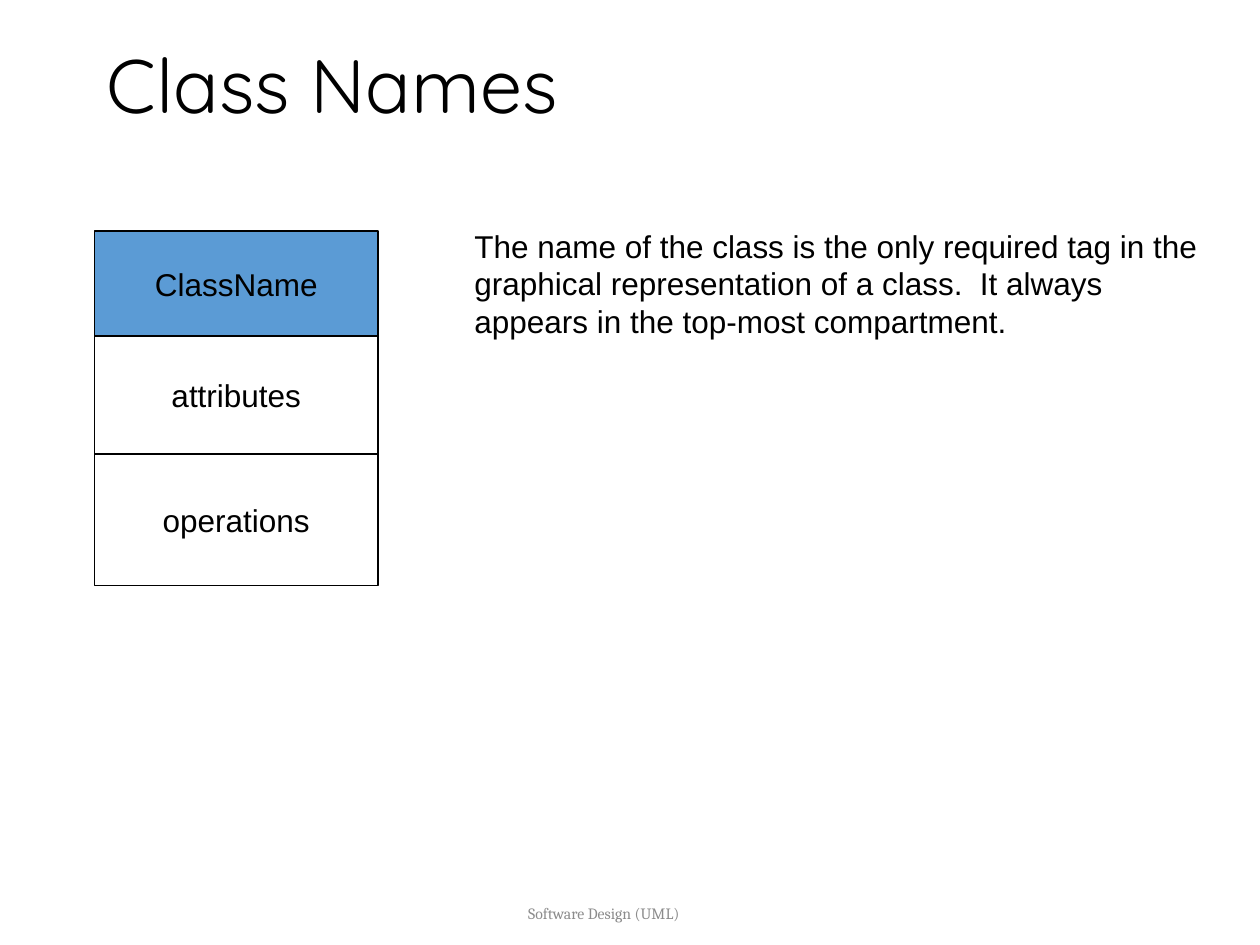
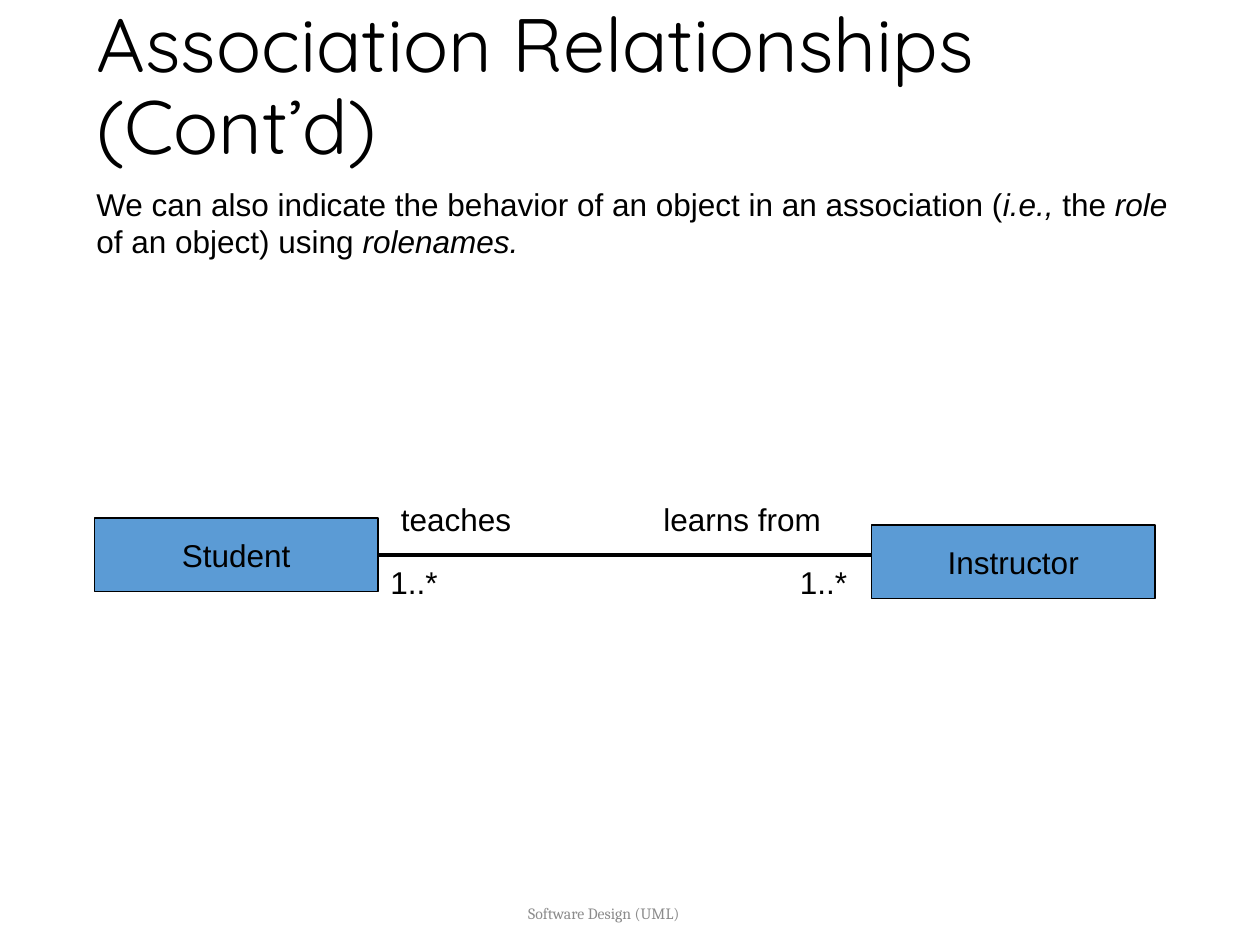
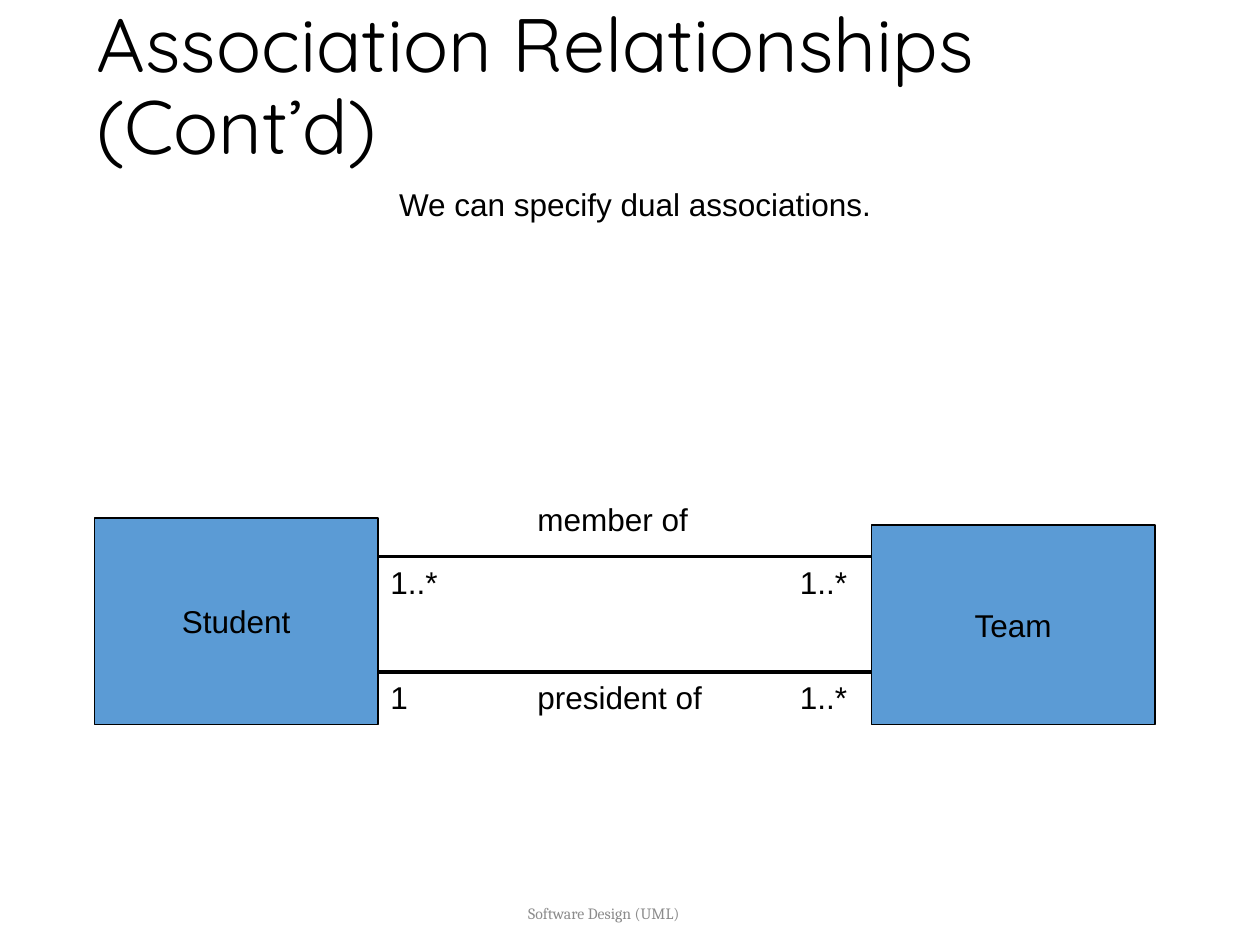
from lxml.etree import SubElement
from pptx import Presentation
from pptx.dml.color import RGBColor
from pptx.enum.shapes import MSO_CONNECTOR as Connector, MSO_SHAPE as Shape
from pptx.enum.text import MSO_ANCHOR as Anchor, MSO_AUTO_SIZE as AutoSize, PP_ALIGN as Align
from pptx.oxml.ns import qn
from pptx.util import Pt

BLACK = RGBColor(0x00, 0x00, 0x00)
WHITE = RGBColor(0xFF, 0xFF, 0xFF)
GRAY = RGBColor(0x8C, 0x8C, 0x8C)
BLUE = RGBColor(0x5B, 0x9B, 0xD5)

FOOTER = "Software Design (UML)"
CLASS_LEFT, CLASS_WIDTH = 54, 162
LINK_LEFT, LINK_RIGHT = CLASS_LEFT + CLASS_WIDTH, 498
LABEL_HEIGHT = 36

# Runs are (text, italic); places are left, top, width, height in points.
CLASS_NAMES = {
    "title": ("Class Names", 54, 618),
    "intro": ([("The name of the class is the only required tag in the graphical "
                "representation of a class.  It always appears in the top-most "
                "compartment.", False)], (264, 126, 432, 122), Align.LEFT),
    "compartments_top": 132,
    "compartments": [("ClassName", 60, BLUE), ("attributes", 67.5, WHITE),
                     ("operations", 75, WHITE)],
}

ASSOCIATIONS = [
    {
        "title": ("Association Relationships (Cont’d)", 48, 648),
        "intro": ([("We can also indicate the behavior of an object in an association (", False),
                   ("i.e.,", True), (" the ", False), ("role ", True),
                   ("of an object) using ", False), ("rolenames.", True)],
                  (48, 102, 639, 65), Align.LEFT),
        # name, top, height
        "classes": [("Student", 296, 42), ("Instructor", 300, 42)],
        "links": [317],
        # text, left, top, width
        "labels": [("1..*", 450, 318, 54), ("1..*", 216, 318, 54),
                   ("learns from", 372, 282, 126), ("teaches", 222, 282, 90)],
    },
    {
        "title": ("Association Relationships (Cont’d)", 48, 636),
        "intro": ([("We can specify dual associations.", False)],
                  (54, 102, 618, 36), Align.CENTER),
        "classes": [("Student", 296, 118), ("Team", 300, 114)],
        "links": [318, 384],
        "labels": [("member of", 300, 282, 138), ("1..*", 216, 318, 54),
                   ("1..*", 450, 318, 54), ("president of", 300, 384, 138),
                   ("1", 216, 384, 30), ("1..*", 450, 384, 54)],
    },
]


def style(paragraph, size=18, face="Arial", color=BLACK, align=Align.LEFT):
    paragraph.alignment = align
    font = paragraph.font
    font.size, font.name, font.color.rgb = Pt(size), face, color


def add_text(slide, runs, place, anchor=Anchor.TOP, grow=False, **look):
    frame = slide.shapes.add_textbox(*map(Pt, place)).text_frame
    frame.word_wrap = True
    frame.vertical_anchor = anchor
    frame.auto_size = AutoSize.SHAPE_TO_FIT_TEXT if grow else AutoSize.NONE
    paragraph = frame.paragraphs[0]
    for text, italic in runs:
        run = paragraph.add_run()
        run.text = text
        if italic:
            run.font.italic = True
    style(paragraph, **look)
    return paragraph


def add_class_box(shapes, name, left, top, height, fill=BLUE):
    box = shapes.add_shape(Shape.RECTANGLE, Pt(left), Pt(top), Pt(CLASS_WIDTH), Pt(height))
    box.shadow.inherit = False
    box.fill.solid()
    box.fill.fore_color.rgb = fill
    box.line.color.rgb = BLACK
    box.line.width = Pt(0.75)
    frame = box.text_frame
    frame.word_wrap = False
    frame.vertical_anchor = Anchor.MIDDLE
    frame.text = name
    style(frame.paragraphs[0], align=Align.CENTER)
    return box


def add_link(slide, y, source):
    link = slide.shapes.add_connector(Connector.STRAIGHT, Pt(LINK_LEFT), Pt(y),
                                      Pt(LINK_RIGHT), Pt(y))
    link.line.color.rgb = BLACK
    link.line.width = Pt(2.25)
    SubElement(link._element.spPr, qn("a:effectLst"))
    if Pt(y) == source.top + source.height // 2:
        link.begin_connect(source, 3)


def start_slide(deck, content):
    """Add a slide with its footer, title and introduction."""
    slide = deck.slides.add_slide(deck.slide_layouts[6])
    add_text(slide, [(FOOTER, False)], (186, 504, 318, 36), Anchor.MIDDLE,
             size=9, face="Cambria", color=GRAY, align=Align.CENTER)
    title, left, width = content["title"]
    heading = add_text(slide, [(title, False)], (left, 30, width, 42), Anchor.MIDDLE,
                       size=43.2, face="Quicksand")
    heading.line_spacing = 0.9
    runs, place, align = content["intro"]
    add_text(slide, runs, place, grow=True, align=align)
    return slide


def build_class_names(deck):
    slide = start_slide(deck, CLASS_NAMES)
    diagram = slide.shapes.add_group_shape()
    top = CLASS_NAMES["compartments_top"]
    for name, height, fill in CLASS_NAMES["compartments"]:
        add_class_box(diagram.shapes, name, CLASS_LEFT, top, height, fill)
        top += height


def build_association(deck, content):
    slide = start_slide(deck, content)
    source, _ = [add_class_box(slide.shapes, name, left, top, height)
                 for left, (name, top, height)
                 in zip((CLASS_LEFT, LINK_RIGHT), content["classes"])]
    for y in content["links"]:
        add_link(slide, y, source)
    for text, left, top, width in content["labels"]:
        add_text(slide, [(text, False)], (left, top, width, LABEL_HEIGHT), grow=True)


def main():
    deck = Presentation()
    deck.slide_width, deck.slide_height = Pt(720), Pt(540)
    build_class_names(deck)
    for content in ASSOCIATIONS:
        build_association(deck, content)
    deck.save("out.pptx")


if __name__ == "__main__":
    main()
